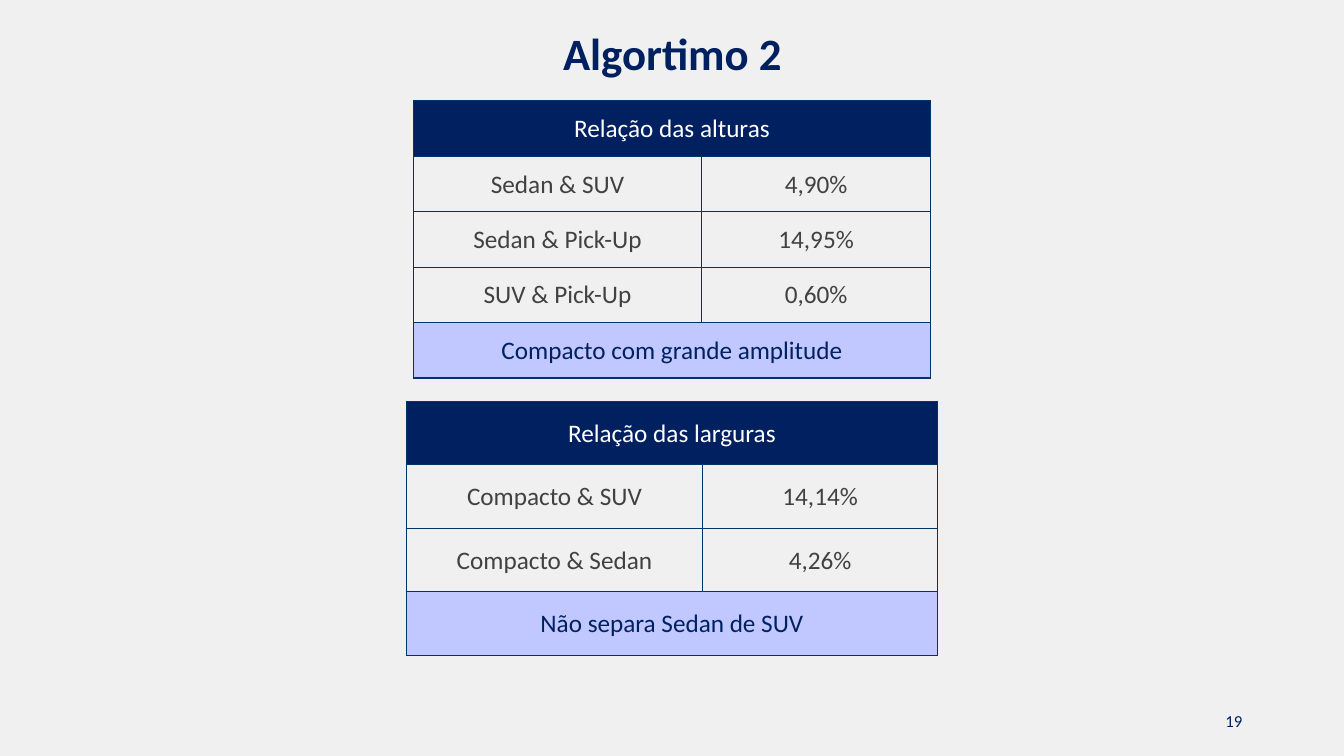
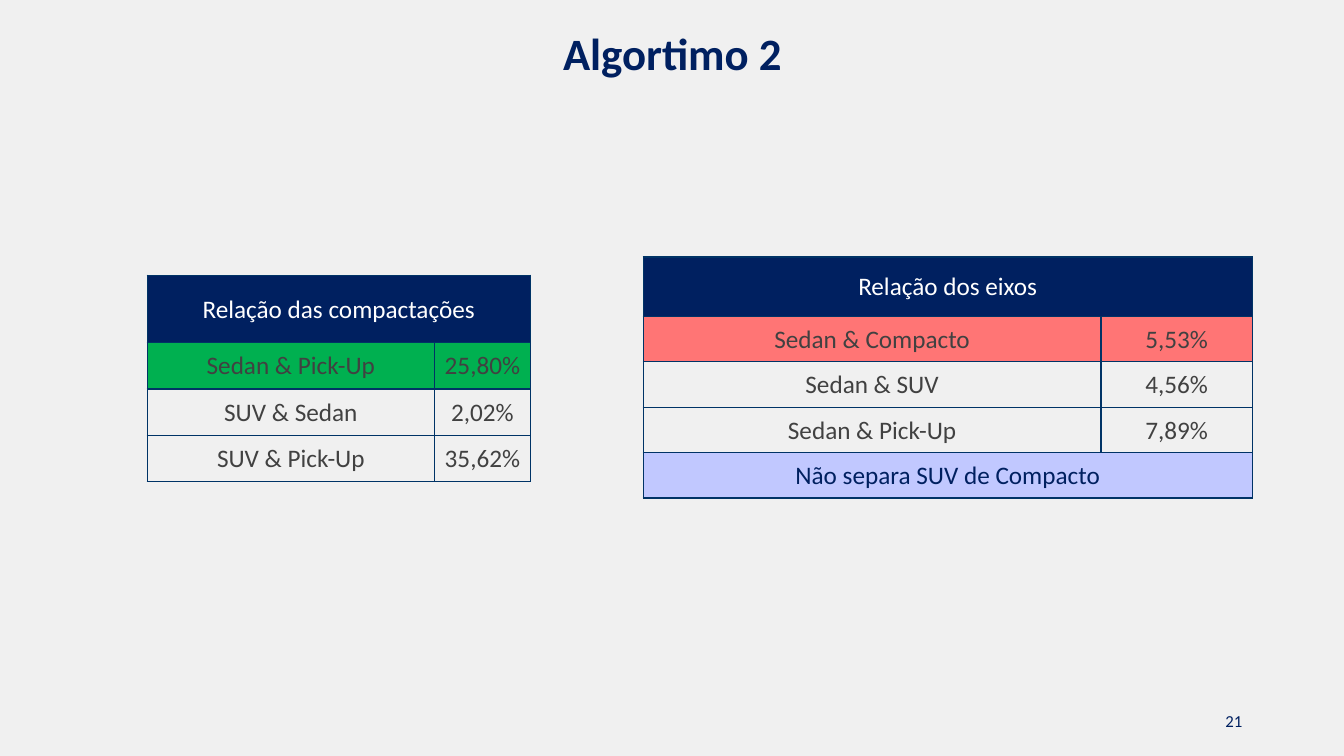
from dataclasses import dataclass
from typing import Optional

from lxml import etree
from pptx import Presentation
from pptx.dml.color import RGBColor
from pptx.enum import text as tx
from pptx.oxml import ns
from pptx.util import Inches, Pt


# Theme: colours, font and type sizes
@dataclass(frozen=True)
class Theme:
    background: str = "F0F0F0"
    navy: str = "002060"
    border: str = "003366"
    white: str = "FFFFFF"
    body: str = "414141"
    lavender: str = "C1C8FF"
    green: str = "00B050"
    red: str = "FF7575"
    font: str = "Calibri"
    title_size: int = 32
    table_size: int = 18
    number_size: int = 12
    border_width: int = 1


THEME = Theme()


# Content model
@dataclass(frozen=True)
class Relation:
    pair: str
    value: str
    fill: Optional[str] = None


@dataclass(frozen=True)
class RelationTable:
    heading: str
    relations: tuple[Relation, ...]
    left: float
    top: float
    columns: tuple[float, float]
    heading_height: float
    row_height: float
    conclusion: Optional[str] = None


@dataclass(frozen=True)
class Page:
    title: str
    number: str
    tables: tuple[RelationTable, ...]


PAGES = (
    Page("Algortimo 2", "19", (
        RelationTable(
            "Relação das alturas",
            (Relation("Sedan & SUV", "4,90%"),
             Relation("Sedan & Pick-Up", "14,95%"),
             Relation("SUV & Pick-Up", "0,60%")),
            4.1, 1, (2.86, 2.27), 0.55, 0.55,
            "Compacto com grande amplitude"),
        RelationTable(
            "Relação das larguras",
            (Relation("Compacto & SUV", "14,14%"),
             Relation("Compacto & Sedan", "4,26%")),
            4.03, 3.98, (2.94, 2.33), 0.63, 0.63,
            "Não separa Sedan de SUV"),
    )),
    Page("Algortimo 2", "21", (
        RelationTable(
            "Relação das compactações",
            (Relation("Sedan & Pick-Up", "25,80%", THEME.green),
             Relation("SUV & Sedan", "2,02%"),
             Relation("SUV & Pick-Up", "35,62%")),
            1.46, 2.73, (2.85, 0.95), 0.67, 0.46),
        RelationTable(
            "Relação dos eixos",
            (Relation("Sedan & Compacto", "5,53%", THEME.red),
             Relation("Sedan & SUV", "4,56%"),
             Relation("Sedan & Pick-Up", "7,89%")),
            6.38, 2.55, (4.54, 1.5), 0.59, 0.45,
            "Não separa SUV de Compacto"),
    )),
)


# Text and cell styling
def write(frame, content: str, size: int, color: str, align, bold: bool = False) -> None:
    paragraph = frame.paragraphs[0]
    paragraph.alignment = align
    run = paragraph.add_run()
    run.text = content
    run.font.name = THEME.font
    run.font.size = Pt(size)
    run.font.bold = bold
    run.font.color.rgb = RGBColor.from_string(color)


def style_cell(cell, fill: Optional[str]) -> None:
    cell.vertical_anchor = tx.MSO_ANCHOR.MIDDLE
    cell.margin_left = cell.margin_right = cell.margin_top = Inches(0.01)
    cell.margin_bottom = 0
    properties = cell._tc.get_or_add_tcPr()
    for side in ("a:lnL", "a:lnR", "a:lnT", "a:lnB"):
        line = etree.SubElement(properties, ns.qn(side), w=str(Pt(THEME.border_width)))
        solid = etree.SubElement(line, ns.qn("a:solidFill"))
        etree.SubElement(solid, ns.qn("a:srgbClr"), val=THEME.border)
    if fill:
        cell.fill.solid()
        cell.fill.fore_color.rgb = RGBColor.from_string(fill)
    else:
        cell.fill.background()


# Slide parts
def add_relation_table(slide, relation_table: RelationTable) -> None:
    # Each row: texts, text colour, fill
    rows = [((relation_table.heading,), THEME.white, THEME.navy)]
    rows += [((r.pair, r.value), THEME.body, r.fill) for r in relation_table.relations]
    if relation_table.conclusion:
        rows.append(((relation_table.conclusion,), THEME.navy, THEME.lavender))
    heights = [relation_table.heading_height]
    heights += [relation_table.row_height] * (len(rows) - 1)

    table = slide.shapes.add_table(
        len(rows), len(relation_table.columns),
        Inches(relation_table.left), Inches(relation_table.top),
        Inches(sum(relation_table.columns)), Inches(sum(heights))).table
    table.first_row = table.horz_banding = False
    for column, width in zip(table.columns, relation_table.columns):
        column.width = Inches(width)

    for row, height, (texts, color, fill) in zip(table.rows, heights, rows):
        row.height = Inches(height)
        for cell in row.cells:
            style_cell(cell, fill)
        if len(texts) == 1:
            row.cells[0].merge(row.cells[1])
        for cell, content in zip(row.cells, texts):
            write(cell.text_frame, content, THEME.table_size, color, tx.PP_ALIGN.CENTER)


def add_title(slide, content: str) -> None:
    title = slide.shapes.title
    title.left, title.top = Inches(1.17), Inches(0.21)
    title.width, title.height = Inches(11), Inches(0.64)
    title.text_frame.vertical_anchor = tx.MSO_ANCHOR.TOP
    write(title.text_frame, content, THEME.title_size, THEME.navy,
          tx.PP_ALIGN.CENTER, bold=True)


def add_page_number(slide, number: str) -> None:
    box = slide.shapes.add_textbox(Inches(9.42), Inches(6.95), Inches(3), Inches(0.4))
    box.text_frame.word_wrap = True
    box.text_frame.vertical_anchor = tx.MSO_ANCHOR.MIDDLE
    write(box.text_frame, number, THEME.number_size, THEME.navy, tx.PP_ALIGN.RIGHT)


def add_page(presentation, page: Page) -> None:
    slide = presentation.slides.add_slide(presentation.slide_layouts.get_by_name("Title Only"))
    add_page_number(slide, page.number)
    for relation_table in page.tables:
        add_relation_table(slide, relation_table)
    add_title(slide, page.title)


def main() -> None:
    presentation = Presentation()
    presentation.slide_width = Inches(13.33)
    presentation.slide_height = Inches(7.5)
    backdrop = presentation.slide_master.background.fill
    backdrop.solid()
    backdrop.fore_color.rgb = RGBColor.from_string(THEME.background)
    for page in PAGES:
        add_page(presentation, page)
    presentation.save("out.pptx")


if __name__ == "__main__":
    main()
